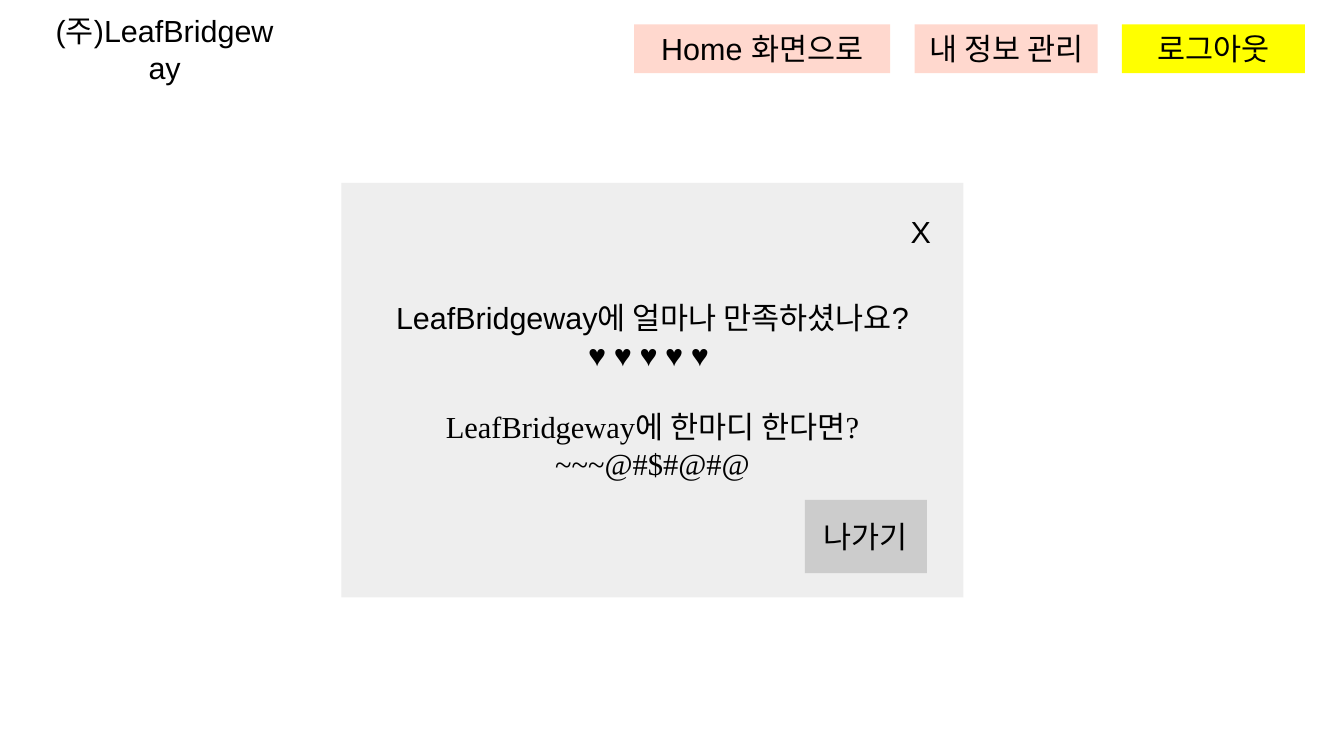
from pptx import Presentation
from pptx.dml.color import RGBColor
from pptx.enum.shapes import MSO_SHAPE as Shape
from pptx.enum.text import MSO_ANCHOR as Anchor, PP_ALIGN as Align
from pptx.util import Pt

PX = 9144  # 100 px to the inch
SANS, SERIF = "Arial", "Times New Roman"
COMPANY = "LeafBridgeway"
PINK, YELLOW, PANEL, GRAY = "FFD8CE", "FFFF00", "EEEEEE", "CCCCCC"


def color(value):
    return RGBColor.from_string(value)


def px(*lengths):
    return [length * PX for length in lengths]


def write(paragraph, text, font=SANS, size=18, ink="000000", before=0):
    paragraph.alignment = Align.CENTER
    paragraph.space_before = Pt(before)
    run = paragraph.add_run()
    run.text = text
    run.font.name = font
    run.font.size = Pt(size)
    run.font.color.rgb = color(ink)


def center_frame(shape):
    frame = shape.text_frame
    frame.word_wrap = False
    frame.vertical_anchor = Anchor.MIDDLE
    return frame


def add_title(slide, text, left, top, width, height):
    title = slide.shapes.title
    title.left, title.top, title.width, title.height = px(left, top, width, height)
    write(center_frame(title).paragraphs[0], text)


def add_box(slide, left, top, width, height, fill):
    box = slide.shapes.add_shape(Shape.RECTANGLE, *px(left, top, width, height))
    box.shadow.inherit = False
    box.fill.solid()
    box.fill.fore_color.rgb = color(fill)
    box.line.fill.background()
    return center_frame(box)


def add_button(slide, label, left, top, width, height, fill):
    write(add_box(slide, left, top, width, height, fill).paragraphs[0], label)


def add_menu(slide, left, top, height, gap, items):
    for label, width, fill in items:
        add_button(slide, label, left, top, width, height, fill)
        left += width + gap


def add_survey(slide):
    survey = add_box(slide, 280, 150, 510, 340, PANEL)
    write(survey.paragraphs[0], f"{COMPANY}에 얼마나 만족하셨나요?")
    write(survey.add_paragraph(), "♥ ♥ ♥ ♥ ♥ ", font=SERIF)
    write(survey.add_paragraph(), f"{COMPANY}에 한마디 한다면?", font=SERIF, before=21)
    write(survey.add_paragraph(), "~~~@#$#@#@", font=SERIF)


def main():
    deck = Presentation()
    deck.slide_width, deck.slide_height = px(1102, 620)
    slide = deck.slides.add_slide(deck.slide_layouts[5])

    # Header with company name and menu
    add_title(slide, f"(주){COMPANY}", 30, 10, 210, 60)
    add_menu(slide, left=520, top=20, height=40, gap=20, items=[
        ("Home 화면으로", 210, PINK),
        ("내 정보 관리", 150, PINK),
        ("로그아웃", 150, YELLOW),
    ])

    # Survey dialog with its exit and close buttons
    add_survey(slide)
    add_button(slide, "나가기", 660, 410, 100, 60, GRAY)
    add_button(slide, "X", 740, 170, 30, 40, PANEL)

    deck.save("out.pptx")


if __name__ == "__main__":
    main()
